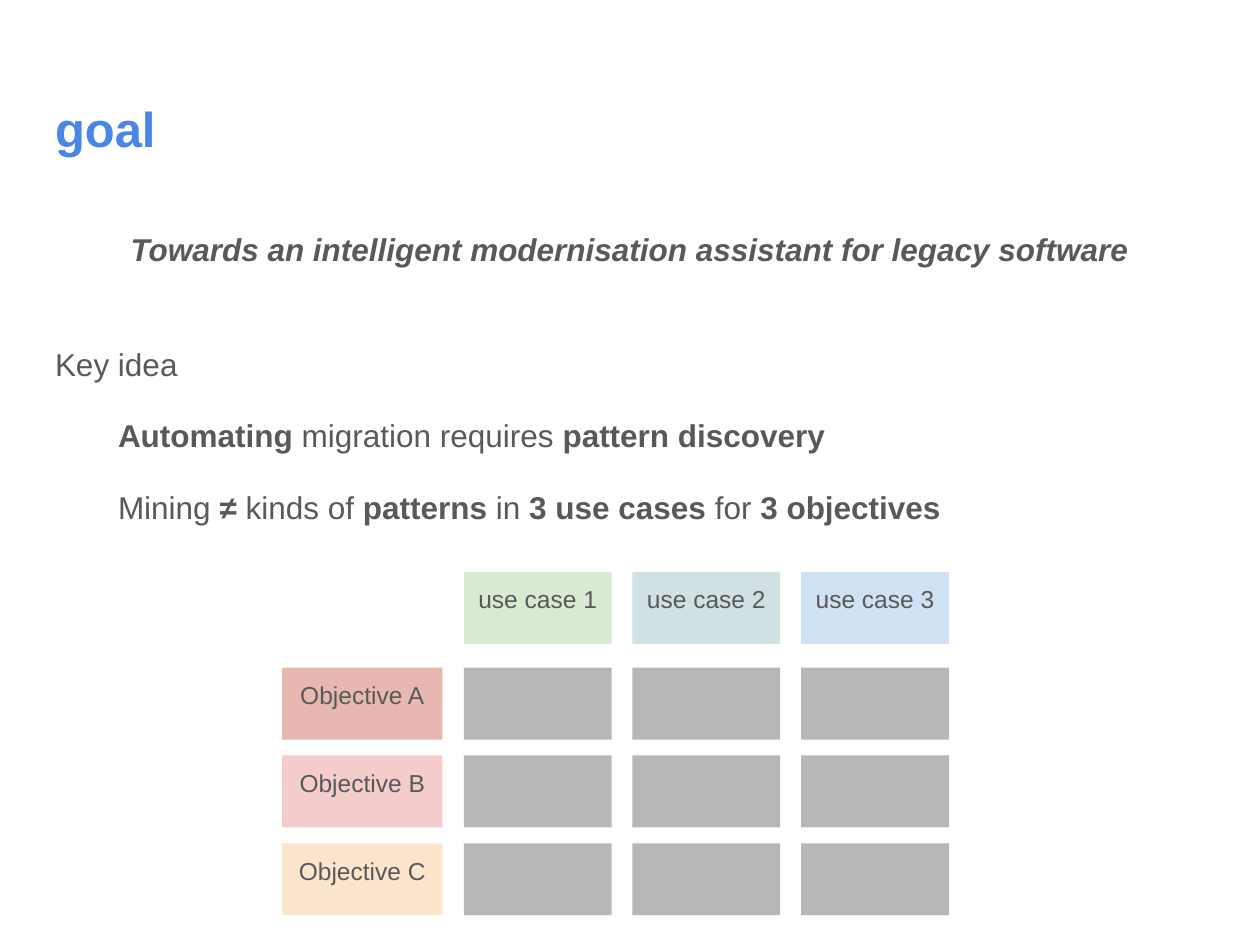
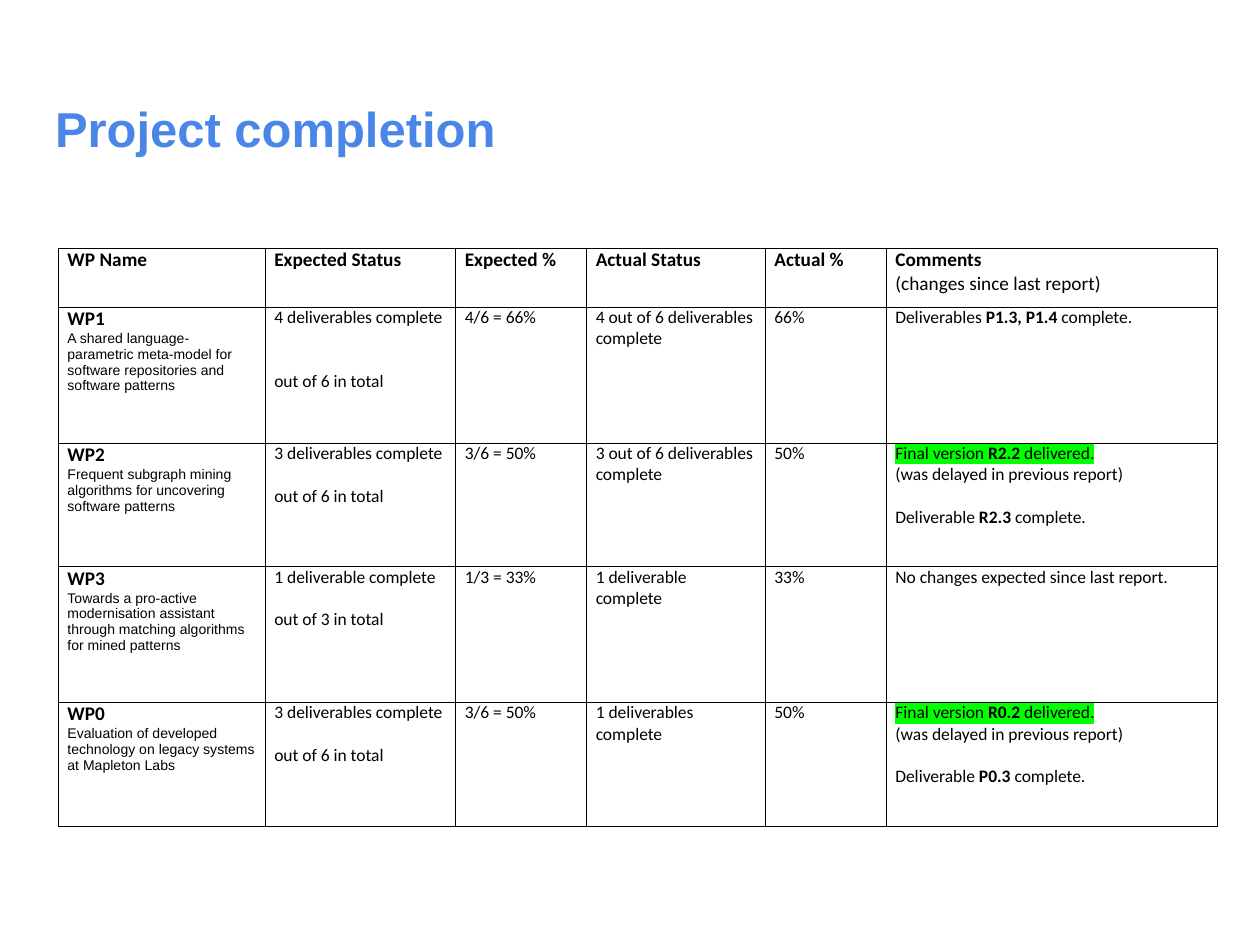
"""Build two project slides: the goal with its grid, and the completion table."""
from lxml import etree
from pptx import Presentation
from pptx.dml.color import RGBColor
from pptx.enum.shapes import MSO_SHAPE
from pptx.enum.text import MSO_ANCHOR, PP_ALIGN
from pptx.oxml.ns import qn
from pptx.util import Cm, Pt

RECTANGLE = MSO_SHAPE.RECTANGLE
TOP = MSO_ANCHOR.TOP
LEFT, CENTER = PP_ALIGN.LEFT, PP_ALIGN.CENTER

BLUE = RGBColor(0x4A, 0x86, 0xE8)
DARK_GRAY = RGBColor(0x59, 0x59, 0x59)
GRAY = RGBColor(0xB7, 0xB7, 0xB7)
BLACK = RGBColor(0x00, 0x00, 0x00)
GREEN_MARKER = RGBColor(0x00, 0xFF, 0x00)

USE_CASES = [
    ("use case 1", RGBColor(0xD9, 0xEA, 0xD3)),
    ("use case 2", RGBColor(0xD0, 0xE0, 0xE3)),
    ("use case 3", RGBColor(0xCF, 0xE2, 0xF3)),
]
OBJECTIVES = [
    ("Objective A", RGBColor(0xE6, 0xB8, 0xAF)),
    ("Objective B", RGBColor(0xF4, 0xCC, 0xCC)),
    ("Objective C", RGBColor(0xFC, 0xE5, 0xCD)),
]

CONTENT_LEFT, CONTENT_WIDTH = 0.86, 23.67
GRID_LEFT, GRID_TOP = 9.35, 13.46
COLUMN_STEP, ROW_STEP = 3.4, 1.77
BOX_WIDTH, BOX_HEIGHT = 2.98, 1.45
USE_CASE_TOP = 11.53
OBJECTIVE_LEFT, OBJECTIVE_WIDTH = 5.69, 3.23

COLUMN_WIDTHS = [4.17, 3.84, 2.64, 3.6, 2.44, 6.68]
ROW_HEIGHTS = [1.19, 2.74, 2.49, 2.74, 2.49]
HEADINGS = ["WP Name", "Expected Status", "Expected %", "Actual Status", "Actual %", "Comments"]
LINE_GAP = 12.2
WORK_PACKAGES = [
    {
        "name": "WP1",
        "topic": "A shared language-parametric meta-model for software repositories and software patterns",
        "expected": ("4 deliverables complete", "out of 6 in total"),
        "expected_gap": 2 * LINE_GAP,
        "share": "4/6 = 66%",
        "actual": "4 out of 6 deliverables complete",
        "percent": "66%",
        "comment": "Deliverables **P1.3, P1.4** complete.",
    },
    {
        "name": "WP2",
        "topic": "Frequent subgraph mining algorithms for uncovering software patterns",
        "expected": ("3 deliverables complete", "out of 6 in total"),
        "share": "3/6 = 50%",
        "actual": "3 out of 6 deliverables complete",
        "percent": "50%",
        "late": "R2.2",
        "comment": "Deliverable **R2.3** complete.",
    },
    {
        "name": "WP3",
        "topic": "Towards a pro-active modernisation assistant through matching algorithms for mined patterns",
        "expected": ("1 deliverable complete", "out of 3 in total"),
        "share": "1/3 = 33%",
        "actual": "1 deliverable complete",
        "percent": "33%",
        "comment": "No changes expected since last report.",
    },
    {
        "name": "WP0",
        "topic": "Evaluation of developed technology on legacy systems at Mapleton Labs",
        "expected": ("3 deliverables complete", "out of 6 in total"),
        "share": "3/6 = 50%",
        "actual": "1 deliverables complete",
        "percent": "50%",
        "late": "R0.2",
        "comment": "Deliverable **P0.3** complete.",
    },
]


def write(frame, text, size=10, font="Calibri", color=BLACK, italic=False, align=LEFT,
          spacing=1.0, before=0, indent=0, highlight=None):
    """Add one paragraph to a text frame; ** switches bold on and off."""
    paragraph = frame.paragraphs[0]
    if paragraph.runs:
        paragraph = frame.add_paragraph()
    paragraph.alignment = align
    paragraph.line_spacing = spacing
    paragraph.space_before = Pt(before)
    if indent:
        paragraph._p.get_or_add_pPr().set("indent", str(int(Cm(indent))))
    for position, part in enumerate(text.split("**")):
        if not part:
            continue
        run = paragraph.add_run()
        run.text = part
        run.font.size = Pt(size)
        run.font.bold = position % 2 == 1
        run.font.italic = italic
        run.font.color.rgb = color
        if highlight:
            marker = etree.SubElement(run._r.get_or_add_rPr(), qn("a:highlight"))
            etree.SubElement(marker, qn("a:srgbClr"), val=str(highlight))
        run.font.name = font


def prepare_frame(frame, inset_top=0.25):
    """Wrap a text frame and anchor it at the top with even insets."""
    frame.word_wrap = True
    frame.vertical_anchor = TOP
    frame.margin_left = frame.margin_right = frame.margin_bottom = Cm(0.25)
    frame.margin_top = Cm(inset_top)
    return frame


def add_text_box(slide, top, height, inset_top=0.25):
    """Add a text box as wide as the content and return its frame."""
    box = slide.shapes.add_textbox(Cm(CONTENT_LEFT), Cm(top), Cm(CONTENT_WIDTH), Cm(height))
    return prepare_frame(box.text_frame, inset_top)


def add_titled_slide(presentation, title):
    """Add a blank slide with the shared title style."""
    slide = presentation.slides.add_slide(presentation.slide_layouts[6])
    frame = add_text_box(slide, 1.65, 2.11, inset_top=0.33)
    write(frame, f"**{title}**", size=28, font="Arial", color=BLUE)
    return slide


def add_box(slide, left, top, width, fill, label=""):
    """Add a filled rectangle with an optional label."""
    shape = slide.shapes.add_shape(RECTANGLE, Cm(left), Cm(top), Cm(width), Cm(BOX_HEIGHT))
    shape.shadow.inherit = False
    shape.fill.solid()
    shape.fill.fore_color.rgb = fill
    shape.line.fill.background()
    if label:
        write(prepare_frame(shape.text_frame), label, size=14, font="Arial",
              color=DARK_GRAY, align=CENTER)


def add_grid(slide):
    """Add the objectives by use cases grid."""
    for column, (label, fill) in enumerate(USE_CASES):
        left = GRID_LEFT + column * COLUMN_STEP
        add_box(slide, left, USE_CASE_TOP, BOX_WIDTH, fill, label)
        for row in range(len(OBJECTIVES)):
            add_box(slide, left, GRID_TOP + row * ROW_STEP, BOX_WIDTH, GRAY)
    for row, (label, fill) in enumerate(OBJECTIVES):
        add_box(slide, OBJECTIVE_LEFT, GRID_TOP + row * ROW_STEP, OBJECTIVE_WIDTH, fill, label)


def add_goal_slide(presentation):
    """Add the slide with the goal, the key idea and the grid."""
    slide = add_titled_slide(presentation, "goal")
    frame = add_text_box(slide, 4.27, 12.65)
    style = {"size": 18, "font": "Arial", "color": DARK_GRAY, "spacing": 1.15}
    write(frame, "**Towards an intelligent modernisation assistant for legacy software**",
          italic=True, align=CENTER, **style)
    write(frame, "Key idea", before=41, **style)
    for idea in (
        "**Automating** migration requires **pattern discovery**",
        "Mining **≠** kinds of **patterns** in **3 use cases **for **3 objectives**",
    ):
        write(frame, idea, before=16, indent=1.27, **style)


def style_cell(cell):
    """Give a cell thin black borders, no fill and narrow insets."""
    properties = cell._tc.get_or_add_tcPr()
    for side in ("a:lnL", "a:lnR", "a:lnT", "a:lnB"):
        border = etree.SubElement(properties, qn(side), w=str(int(Pt(0.5))))
        fill = etree.SubElement(border, qn("a:solidFill"))
        etree.SubElement(fill, qn("a:srgbClr"), val=str(BLACK))
    cell.fill.background()
    cell.margin_left = cell.margin_right = Cm(0.19)
    cell.margin_top = cell.margin_bottom = 0
    cell.vertical_anchor = TOP


def fill_work_package(frames, package):
    """Write one work package into the frames of its row."""
    name, expected, share, actual, percent, comments = frames
    write(name, f"**{package['name']}**", size=11)
    write(name, package["topic"], size=8, font="Arial")
    done, total = package["expected"]
    write(expected, done)
    write(expected, total, before=package.get("expected_gap", LINE_GAP))
    write(share, package["share"])
    write(actual, package["actual"])
    write(percent, package["percent"])
    late = package.get("late")
    if late:
        write(comments, f"Final version **{late}** delivered.", highlight=GREEN_MARKER)
        write(comments, "(was delayed in previous report)")
    write(comments, package["comment"], before=LINE_GAP if late else 0)


def add_completion_slide(presentation):
    """Add the slide with the table of work packages."""
    slide = add_titled_slide(presentation, "Project completion")
    table = slide.shapes.add_table(
        len(ROW_HEIGHTS), len(COLUMN_WIDTHS), Cm(1.17), Cm(5),
        Cm(sum(COLUMN_WIDTHS)), Cm(sum(ROW_HEIGHTS))).table
    table.first_row = table.horz_banding = False
    for column, width in zip(table.columns, COLUMN_WIDTHS):
        column.width = Cm(width)
    for row, height in zip(table.rows, ROW_HEIGHTS):
        row.height = Cm(height)
    for cell in table.iter_cells():
        style_cell(cell)
    header, *rows = [[cell.text_frame for cell in row.cells] for row in table.rows]
    for frame, heading in zip(header, HEADINGS):
        write(frame, f"**{heading}**", size=11)
    write(header[-1], "(changes since last report)", size=11)
    for frames, package in zip(rows, WORK_PACKAGES):
        fill_work_package(frames, package)


def main():
    """Build and save the presentation."""
    presentation = Presentation()
    presentation.slide_width, presentation.slide_height = Cm(25.4), Cm(19.05)
    add_goal_slide(presentation)
    add_grid(presentation.slides[0])
    add_completion_slide(presentation)
    presentation.save("out.pptx")


if __name__ == "__main__":
    main()
